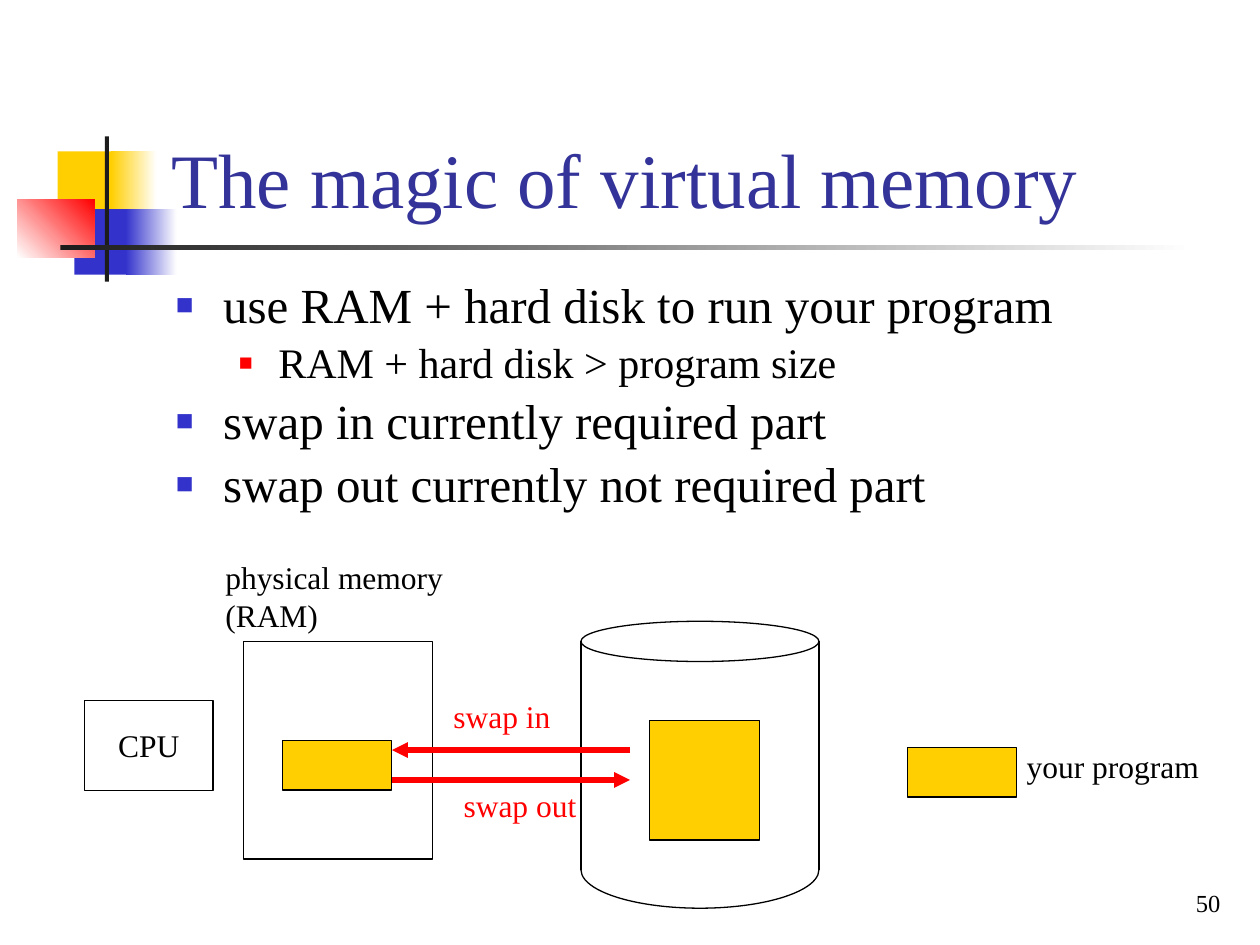
from dataclasses import dataclass

from lxml.etree import SubElement
from pptx import Presentation
from pptx.dml.color import RGBColor
from pptx.enum.shapes import MSO_CONNECTOR, MSO_SHAPE
from pptx.enum.text import MSO_ANCHOR, PP_ALIGN
from pptx.oxml.ns import qn
from pptx.util import Pt


@dataclass(frozen=True)
class Theme:
    """Colours, type sizes and line widths of the slide."""

    font: str = "Times New Roman"
    black: str = "000000"
    white: str = "FFFFFF"
    charcoal: str = "1C1C1C"
    gold: str = "FFCF01"
    blue: str = "3333CC"
    red: str = "FF0000"
    title: str = "333399"
    title_size: float = 44
    body_sizes: tuple = (28, 24)
    label_size: float = 18
    number_size: float = 14
    outline: float = 0.75
    arrow: float = 3


THEME = Theme()
CYLINDER_LEFT, CYLINDER_RIGHT = 332, 468
CYLINDER_TOP, CYLINDER_BASE = 366.5, 497
PART_WIDTH, PART_HEIGHT = 62.6, 28.2

DECORATION = [
    ((33, 86.5, 34.5, 37.5), (THEME.gold,), 0),
    ((63.5, 86.5, 26, 37.5), (THEME.gold, THEME.white), 0),
    ((42.5, 119.5, 33, 37.5), (THEME.blue,), 0),
    ((72, 119.5, 29, 37.5), (THEME.blue, THEME.white), 0),
    ((10, 113.8, 44, 33.4), (THEME.white, THEME.red), 45),
    ((60, 78, 2.2, 83), (THEME.charcoal,), 0),
    ((34.5, 140.2, 648, 2.4), (THEME.charcoal, THEME.white), 0),
]

BULLETS = [
    (0, "use RAM + hard disk to run your program"),
    (1, "RAM + hard disk > program size"),
    (0, "swap in currently required part"),
    (0, "swap out currently not required part"),
]


def rgb(color):
    """Turn a hex string into a colour."""
    return RGBColor.from_string(color)


def style_text(frame, size, color):
    """Format every run of a text frame."""
    for para in frame.paragraphs:
        for span in para.runs:
            span.font.name = THEME.font
            span.font.size = Pt(size)
            span.font.color.rgb = rgb(color)


def add_preset(page, kind, place, fills=(), outline=None, angle=0):
    """Add a preset shape with no fill, a solid fill or a two-colour gradient."""
    shape = page.shapes.add_shape(kind, *map(Pt, place))
    shape.shadow.inherit = False
    if len(fills) > 1:
        shape.fill.gradient()
        shape.fill.gradient_angle = angle
        for stop, color in zip(shape.fill.gradient_stops, fills):
            stop.color.rgb = rgb(color)
    elif fills:
        shape.fill.solid()
        shape.fill.fore_color.rgb = rgb(fills[0])
    else:
        shape.fill.background()
    if outline:
        shape.line.color.rgb = rgb(outline)
        shape.line.width = Pt(THEME.outline)
    else:
        shape.line.fill.background()
    return shape


def add_box(page, place, text, size=THEME.label_size, color=THEME.black, wrap=False):
    """Add a formatted text box."""
    box = page.shapes.add_textbox(*map(Pt, place))
    box.text_frame.word_wrap = wrap
    box.text_frame.text = text
    style_text(box.text_frame, size, color)
    return box


def add_line(page, start, end, color=THEME.black, width=THEME.outline, arrow=False):
    """Add a straight line, with an arrowhead at its end if asked."""
    line = page.shapes.add_connector(MSO_CONNECTOR.STRAIGHT, *map(Pt, start + end))
    line.line.color.rgb = rgb(color)
    line.line.width = Pt(width)
    if arrow:
        SubElement(line.line._get_or_add_ln(), qn("a:tailEnd"), type="triangle")
    SubElement(line._element.spPr, qn("a:effectLst"))


def add_bullet(para, level):
    """Give a paragraph the square bullet and indent of its level."""
    margin, hanging, color, percent = [
        (27, 27, THEME.blue, 60), (58.5, 22.5, THEME.red, 55)][level]
    para.level = level
    props = para._p.get_or_add_pPr()
    props.set("marL", str(Pt(margin)))
    props.set("indent", str(-Pt(hanging)))
    SubElement(SubElement(props, qn("a:buClr")), qn("a:srgbClr"), val=color)
    SubElement(props, qn("a:buSzPct"), val=str(percent * 1000))
    SubElement(props, qn("a:buFont"), typeface=THEME.font)
    SubElement(props, qn("a:buChar"), char="■")


def add_title(page, text):
    """Place and format the title placeholder."""
    title = page.shapes.title
    title.left, title.top, title.width, title.height = map(Pt, (90.75, 16.5, 613.5, 115.2))
    frame = title.text_frame
    frame.text = text
    frame.vertical_anchor = MSO_ANCHOR.BOTTOM
    frame.paragraphs[0].alignment = PP_ALIGN.LEFT
    style_text(frame, THEME.title_size, THEME.title)


def add_bullets(page):
    """Add the two-level bullet list."""
    text = "\n".join(line for _, line in BULLETS)
    box = add_box(page, (93.5, 157, 612, 147.6), text, wrap=True)
    for index, (para, (level, _)) in enumerate(zip(box.text_frame.paragraphs, BULLETS)):
        size = THEME.body_sizes[level]
        add_bullet(para, level)
        para.line_spacing = 0.9
        para.space_before = Pt(0.2 * size if index else 0)
        for span in para.runs:
            span.font.size = Pt(size)


def add_cylinder(page):
    """Draw the hard disk as a lid, two sides and a bottom arc."""
    width = CYLINDER_RIGHT - CYLINDER_LEFT
    add_preset(page, MSO_SHAPE.OVAL, (CYLINDER_LEFT, CYLINDER_TOP - 11.5, width, 23),
               outline=THEME.black)
    for side in (CYLINDER_LEFT, CYLINDER_RIGHT):
        add_line(page, (side, CYLINDER_TOP), (side, CYLINDER_BASE))
    arc = add_preset(page, MSO_SHAPE.ARC, (CYLINDER_LEFT, CYLINDER_BASE - 22, width, 44),
                     outline=THEME.black)
    arc.adjustments[0] = 0
    arc.adjustments[1] = 108


def add_memory_diagram(page):
    """Draw the processor, memory, disk, swap arrows and legend."""
    cpu = add_preset(page, MSO_SHAPE.RECTANGLE, (48.2, 400.3, 73.6, 51.3), outline=THEME.black)
    cpu.text_frame.word_wrap = False
    cpu.text_frame.text = "CPU"
    cpu.text_frame.vertical_anchor = MSO_ANCHOR.MIDDLE
    cpu.text_frame.paragraphs[0].alignment = PP_ALIGN.CENTER
    style_text(cpu.text_frame, THEME.label_size, THEME.black)
    add_preset(page, MSO_SHAPE.RECTANGLE, (139, 366.5, 108, 124.5), outline=THEME.black)
    add_box(page, (121.7, 315.4, 139, 50.5), "physical memory\n(RAM)")
    add_cylinder(page)
    parts = [(161.3, 423.2, PART_HEIGHT), (371.3, 411.8, 68.2), (518.5, 427.2, PART_HEIGHT)]
    for left, top, height in parts:
        add_preset(page, MSO_SHAPE.RECTANGLE, (left, top, PART_WIDTH, height),
                   (THEME.gold,), THEME.black)
    add_line(page, (360, 428.6), (224, 428.6), THEME.red, THEME.arrow, arrow=True)
    add_line(page, (224, 445.7), (360, 445.7), THEME.red, THEME.arrow, arrow=True)
    add_box(page, (252, 394.6, 70, 28.8), "swap in", color=THEME.red)
    add_box(page, (257.8, 445.7, 79, 28.8), "swap out", color=THEME.red)
    add_box(page, (579.6, 423.4, 113, 28.8), "your program")


def main():
    """Build and save the slide."""
    deck = Presentation()
    deck.slide_width, deck.slide_height = Pt(720), Pt(540)
    page = deck.slides.add_slide(deck.slide_layouts[5])
    for place, fills, angle in DECORATION:
        add_preset(page, MSO_SHAPE.RECTANGLE, place, fills, angle=angle)
    add_title(page, "The magic of virtual memory")
    add_bullets(page)
    add_memory_diagram(page)
    number = add_box(page, (554.4, 491.8, 150, 36), "50", THEME.number_size, wrap=True)
    number.text_frame.vertical_anchor = MSO_ANCHOR.BOTTOM
    number.text_frame.paragraphs[0].alignment = PP_ALIGN.RIGHT
    deck.save("out.pptx")


if __name__ == "__main__":
    main()
